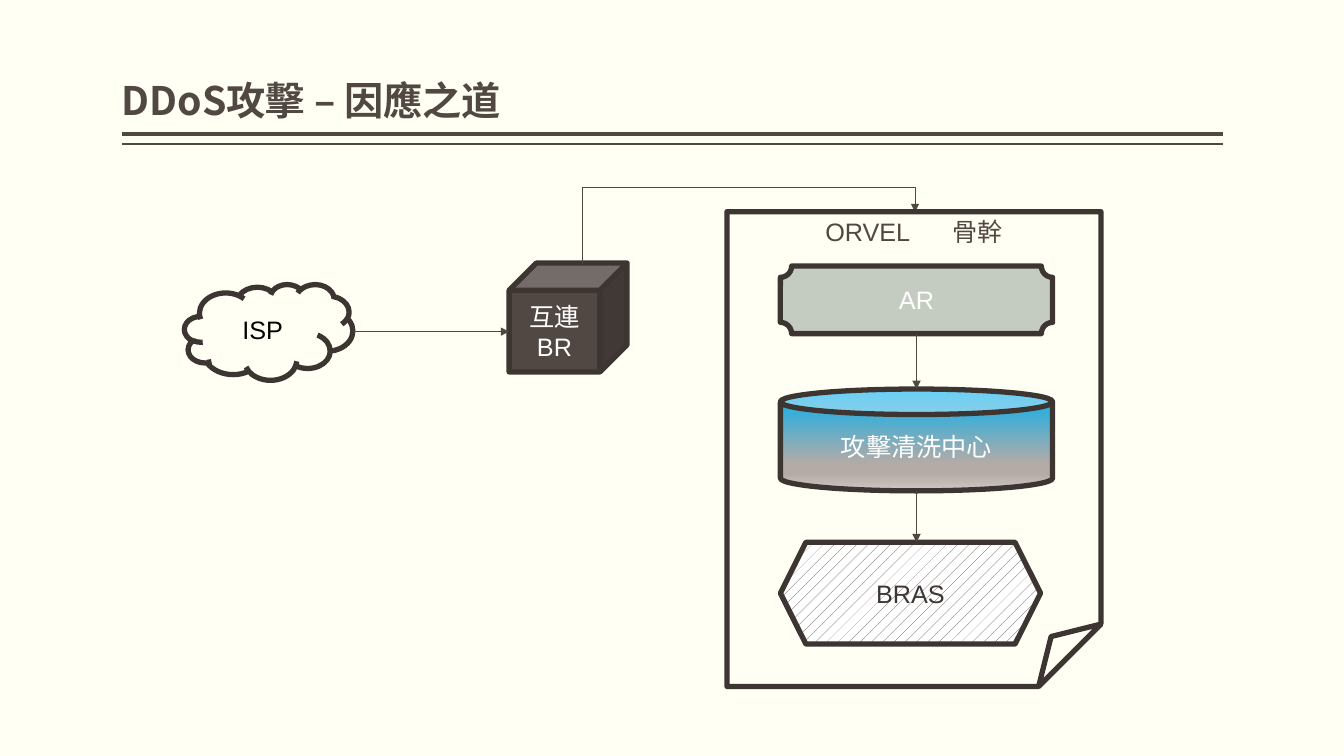
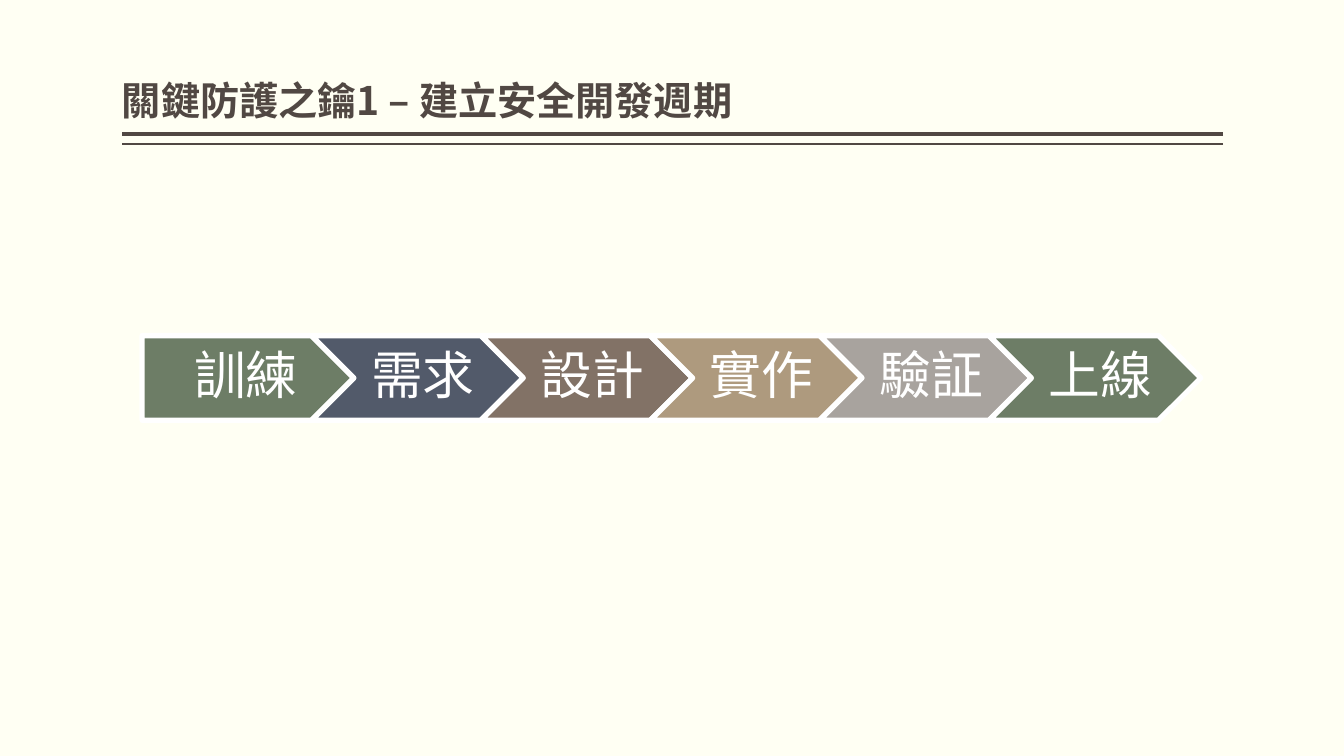
from dataclasses import dataclass
from typing import Any, Optional

from lxml import etree
from pptx import Presentation
from pptx import util as u
from pptx.dml.color import RGBColor
from pptx.enum import dml, shapes, text
from pptx.oxml.ns import qn

INK = RGBColor(0x51, 0x48, 0x43)
EDGE = RGBColor(0x3C, 0x35, 0x32)
DEEP = RGBColor(0x3D, 0x36, 0x32)
CREAM = RGBColor(0xFF, 0xFF, 0xF3)
WHITE = RGBColor(0xFF, 0xFF, 0xFF)
BLACK = RGBColor(0, 0, 0)
SAGE = RGBColor(0xC4, 0xCC, 0xC1)
GREEN = RGBColor(0x6D, 0x7D, 0x66)
SLATE = RGBColor(0x52, 0x5A, 0x6A)
BROWN = RGBColor(0x82, 0x72, 0x66)
SAND = RGBColor(0xAE, 0x9A, 0x7E)
STONE = RGBColor(0xA8, 0xA3, 0x9E)
SKY = RGBColor(0x00, 0xB0, 0xF0)
TAUPE = RGBColor(0xB5, 0xAB, 0xA6)
PALE = RGBColor(0xCE, 0xC7, 0xC4)
FADE = ((0, SKY), (74, TAUPE), (83, TAUPE), (100, PALE))

LATIN = "Arial"
HAN = "Noto Sans CJK TC"
LEFT, WIDE = 1.21, 10.92
KIND = shapes.MSO_SHAPE
LINK = shapes.MSO_CONNECTOR
ANCHOR = text.MSO_ANCHOR
ALIGN = text.PP_ALIGN


@dataclass
class Node:
    kind: Any
    box: tuple[float, float, float, float]
    words: str
    ink: RGBColor = WHITE
    fill: Optional[RGBColor] = None
    edge: RGBColor = EDGE


@dataclass
class Step:
    words: str
    fill: RGBColor


def write(frame: Any, words: str, *, size: float = 18, font: str = LATIN,
          ink: RGBColor = INK, bold: bool = False, align: Any = ALIGN.CENTER,
          anchor: Any = ANCHOR.MIDDLE, inset: Optional[tuple] = None,
          lead: Optional[float] = None, gap: int = 0, wrap: bool = True) -> None:
    frame.word_wrap = wrap
    frame.vertical_anchor = anchor
    if inset:
        (frame.margin_left, frame.margin_top,
         frame.margin_right, frame.margin_bottom) = map(u.Inches, inset)
    para = frame.paragraphs[0]
    para.alignment = align
    para.line_spacing = lead
    if gap:
        for part in words.partition(" "):
            para.add_run().text = part
        para.runs[1].font._element.set("spc", str(gap * 100))
    else:
        para.text = words
    for run in para.runs:
        run.font.size = u.Pt(size)
        run.font.name = font
        run.font.bold = bold
        run.font.color.rgb = ink
        east = etree.SubElement(run.font._element, qn("a:ea"))
        east.set("typeface", HAN)


def place(slide: Any, node: Node, **style: Any) -> Any:
    shape = slide.shapes.add_shape(node.kind, *map(u.Inches, node.box))
    shape.shadow.inherit = False
    if node.fill is None:
        shape.fill.background()
    else:
        shape.fill.solid()
        shape.fill.fore_color.rgb = node.fill
    shape.line.color.rgb = node.edge
    shape.line.width = u.Pt(3.78)
    write(shape.text_frame, node.words, ink=node.ink, **style)
    return shape


def link(slide: Any, start: tuple[float, float], end: tuple[float, float],
         width: float = 0.5, arrow: bool = True, kind: Any = LINK.STRAIGHT) -> Any:
    line = slide.shapes.add_connector(kind, *map(u.Inches, start + end))
    line.line.color.rgb = INK
    line.line.width = u.Pt(width)
    if arrow:
        tail = etree.SubElement(line.line._get_or_add_ln(), qn("a:tailEnd"))
        tail.set("type", "triangle")
    etree.SubElement(line._element.spPr, qn("a:effectLst"))
    return line


def bend(line: Any, turn: int, ratio: float) -> None:
    props = line._element.spPr
    props.find(qn("a:xfrm")).set("rot", str(turn * 60000))
    guides = props.find(qn("a:prstGeom")).find(qn("a:avLst"))
    guide = etree.SubElement(guides, qn("a:gd"))
    guide.set("name", "adj1")
    guide.set("fmla", f"val {round(ratio * 100000)}")


def blend(shape: Any, stops: tuple) -> None:
    shape.fill.gradient()
    shape.fill.gradient_angle = 270
    group = shape._element.spPr.find(".//" + qn("a:gsLst"))
    for old in list(group):
        group.remove(old)
    for spot, shade in stops:
        stop = etree.SubElement(group, qn("a:gs"))
        stop.set("pos", str(spot * 1000))
        etree.SubElement(stop, qn("a:srgbClr")).set("val", str(shade))


def hatch(shape: Any) -> None:
    shape.fill.patterned()
    shape.fill.pattern = dml.MSO_PATTERN.PERCENT_10
    shape.fill.fore_color.rgb = INK
    shape.fill.back_color.rgb = WHITE


def start(deck: Any, words: str) -> Any:
    slide = deck.slides.add_slide(deck.slide_layouts[5])
    for top, width in ((1.33, 3), (1.43, 1)):
        link(slide, (LEFT + WIDE, top), (LEFT, top), width, arrow=False)
    title = slide.shapes.title
    title.left, title.top = u.Inches(LEFT), u.Inches(0.08)
    title.width, title.height = u.Inches(WIDE), u.Inches(1.2)
    title.text_frame.auto_size = text.MSO_AUTO_SIZE.NONE
    write(title.text_frame, words, size=28, font=HAN, bold=True, lead=0.9,
          align=ALIGN.LEFT, anchor=ANCHOR.BOTTOM, inset=(0, 0.05, 0, 0.05))
    return slide


def defend(deck: Any) -> None:
    slide = start(deck, "DDoS攻擊 – 因應之道")
    place(slide, Node(KIND.CLOUD, (1.83, 2.82, 1.67, 0.95), "ISP", BLACK))
    place(slide, Node(KIND.CUBE, (5.05, 2.61, 1.17, 1.08), "互連\nBR", fill=INK))
    link(slide, (3.5, 3.29), (5.05, 3.29))
    route = link(slide, (7.68, 4.01), (7.17, 0.71), kind=LINK.ELBOW)
    bend(route, 90, 1.49)

    place(slide, Node(KIND.FOLDED_CORNER, (7.21, 2.1, 3.71, 4.71),
                      "ORVEL 骨幹", INK), anchor=ANCHOR.TOP, gap=25)
    plaque = place(slide, Node(KIND.PLAQUE, (7.74, 2.64, 2.7, 0.67), "AR", fill=SAGE))
    can = place(slide, Node(KIND.CAN, (7.74, 3.86, 2.7, 1.01), "攻擊清洗中心"))
    blend(can, FADE)
    hatch(place(slide, Node(KIND.HEXAGON, (7.74, 5.38, 2.58, 1.01), "BRAS", DEEP)))
    link(slide, (9.09, 3.31), (9.09, 3.86)).begin_connect(plaque, 2)
    link(slide, (9.09, 4.87), (9.09, 5.38))


def build(deck: Any) -> None:
    slide = start(deck, "關鍵防護之鑰1 – 建立安全開發週期")
    steps = (Step("訓練", GREEN), Step("需求", SLATE), Step("設計", BROWN),
             Step("實作", SAND), Step("驗証", STONE), Step("上線", GREEN))
    for rank, step in enumerate(steps):
        kind = KIND.CHEVRON if rank else KIND.PENTAGON
        box = (1.41 + 1.68 * rank, 3.33, 2.1, 0.84)
        inset = (0.16 if rank else 0.22, 0.11, 0.05, 0.11)
        place(slide, Node(kind, box, step.words, fill=step.fill, edge=WHITE),
              size=37, lead=0.9, inset=inset, wrap=False)


def main() -> None:
    deck = Presentation()
    deck.slide_width, deck.slide_height = u.Inches(13.33), u.Inches(7.5)
    back = deck.slide_master.background.fill
    back.solid()
    back.fore_color.rgb = CREAM
    defend(deck)
    build(deck)
    deck.save("out.pptx")


if __name__ == "__main__":
    main()
